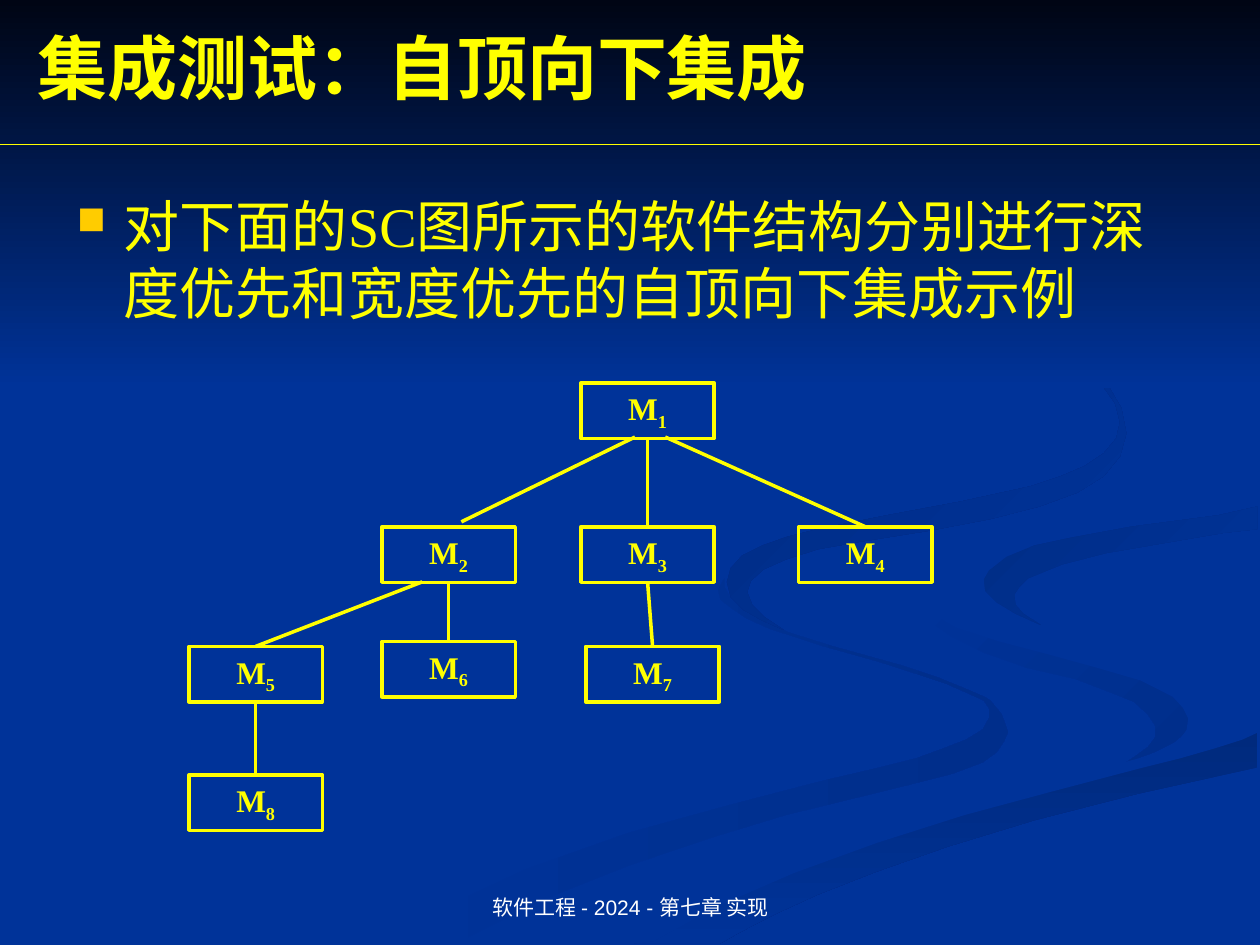
from lxml.etree import SubElement
from pptx import Presentation
from pptx.dml.color import RGBColor
from pptx.enum.shapes import MSO_CONNECTOR as CONN, MSO_SHAPE as SHAPE
from pptx.enum.text import MSO_ANCHOR as ANCHOR, PP_ALIGN as ALIGN
from pptx.oxml.ns import qn
from pptx.util import Cm, Pt

YELLOW = RGBColor(0xFF, 0xFF, 0x00)
WHITE = RGBColor(0xFF, 0xFF, 0xFF)
BLUE = RGBColor(0x00, 0x33, 0x99)
NIGHT = RGBColor(0x00, 0x05, 0x14)
SHADE_1 = RGBColor(0x00, 0x2E, 0x8B)
SHADE_2 = RGBColor(0x00, 0x2A, 0x7D)
SHADE_3 = RGBColor(0x00, 0x2D, 0x86)
SHADE_4 = RGBColor(0x00, 0x2B, 0x82)
BULLET_COLOR = "FFCC00"
SERIF, SANS = "Times New Roman", "Arial"
BOTTOM, TOP = 2, 0

LOWER_LEFT_SWIRL = [
    (781, 553), (767, 547), (745, 538), (715, 528), (661, 513), (626, 502),
    (602, 490), (587, 481), (579, 473), (575, 466), (575, 459), (570, 468),
    (572, 476), (581, 483), (593, 491), (611, 499), (654, 513), (697, 525),
    (728, 535), (752, 543), (770, 551), (781, 556), (785, 562), (785, 570),
    (780, 579), (767, 587), (749, 594), (727, 602), (699, 609), (652, 620),
    (579, 639), (499, 661), (417, 690), (338, 727), (300, 749), (361, 749),
    (431, 714), (499, 687), (564, 665), (623, 647), (676, 634), (721, 623),
    (756, 614), (780, 605), (791, 597), (797, 588), (800, 581), (795, 567),
    (786, 556)]
RIGHT_SWIRL = [
    (943, 570), (939, 562), (930, 553), (905, 540), (870, 530), (830, 519),
    (792, 509), (758, 498), (733, 483), (727, 474), (724, 464), (725, 474),
    (730, 483), (739, 494), (755, 505), (781, 518), (815, 530), (854, 539),
    (880, 549), (900, 557), (911, 567), (917, 576), (917, 585), (911, 593),
    (900, 601), (894, 605), (916, 597), (932, 589), (941, 581)]
BOTTOM_SWIRL = [
    (519, 747), (503, 749), (571, 749), (587, 740), (614, 726), (649, 710),
    (695, 692), (752, 672), (821, 651), (903, 630), (998, 609), (998, 581),
    (985, 587), (963, 594), (936, 602), (903, 610), (831, 629), (764, 647),
    (696, 669), (630, 693), (569, 719)]
LONG_SWIRL = [
    (725, 464), (728, 474), (734, 483), (759, 498), (793, 509), (831, 519),
    (871, 530), (905, 540), (931, 553), (939, 562), (943, 570), (942, 579),
    (936, 587), (926, 593), (911, 600), (892, 605), (869, 611), (813, 625),
    (743, 643), (663, 668), (573, 703), (477, 749), (503, 749), (519, 747),
    (570, 719), (630, 693), (696, 669), (765, 647), (832, 629), (904, 610),
    (936, 602), (964, 594), (986, 587), (999, 581), (999, 538), (974, 534),
    (941, 527), (904, 519), (848, 503), (817, 492), (794, 480), (784, 469),
    (781, 463), (786, 453), (800, 442), (822, 434), (850, 427), (899, 418),
    (968, 409), (999, 402), (999, 387), (962, 395), (920, 401), (851, 411),
    (808, 417), (770, 427), (742, 439), (730, 449)]
SHORT_SWIRL = [
    (781, 460), (782, 469), (791, 478), (806, 487), (826, 496), (812, 487),
    (806, 480), (805, 472), (809, 466), (816, 459), (843, 448), (878, 439),
    (936, 429), (971, 423), (998, 420), (998, 402), (967, 409), (898, 418),
    (849, 427), (821, 433), (799, 442), (785, 453)]
UPPER_SWIRL = [
    (683, 430), (739, 421), (786, 412), (825, 402), (855, 391), (876, 378),
    (889, 362), (894, 344), (890, 324), (880, 307), (864, 291), (843, 275),
    (810, 256), (780, 241), (762, 233), (805, 254), (846, 279), (870, 299),
    (885, 320), (889, 335), (886, 348), (876, 360), (861, 370), (842, 378),
    (818, 386), (763, 398), (704, 409), (649, 420), (625, 426), (605, 433),
    (589, 441), (580, 451), (577, 462), (580, 474), (590, 484), (604, 492),
    (622, 500), (607, 490), (597, 480), (593, 470), (596, 461), (606, 452),
    (624, 444), (649, 436)]
SWIRLS = [
    (LOWER_LEFT_SWIRL, BLUE, SHADE_1, 0),
    (RIGHT_SWIRL, BLUE, SHADE_1, 45),
    (BOTTOM_SWIRL, SHADE_2, BLUE, 90),
    (LONG_SWIRL, BLUE, BLUE, 0),
    (SHORT_SWIRL, SHADE_3, BLUE, 45),
    (UPPER_SWIRL, SHADE_4, BLUE, 45)]

MODULES = {
    1: (11.71, 7.72), 2: (7.7, 10.62), 3: (11.71, 10.62), 4: (16.1, 10.62),
    5: (3.81, 13.03), 6: (7.7, 12.93), 7: (11.81, 13.03), 8: (3.81, 15.62)}
STRAIGHT_CALLS = [(1, 3), (2, 6), (3, 7), (5, 8)]
SLANTED_CALLS = [((13.41, 8.81), 4), ((8.51, 11.73), 5)]


class Deck:
    def __init__(self, slide, color=YELLOW, width=2):
        self.slide, self.shapes = slide, slide.shapes
        self.color, self.width = color, width

    def gradient(self, sp, first, last, angle):
        sp.shadow.inherit = False
        sp.line.fill.background()
        if first == last:
            sp.fill.solid()
            sp.fill.fore_color.rgb = first
            return
        sp.fill.gradient()
        sp.fill.gradient_angle = 360 - angle
        for stop, color in zip(sp.fill.gradient_stops, (first, last)):
            stop.color.rgb = color

    def swirl(self, points, first, last, angle):
        builder = self.shapes.build_freeform(*points[0], scale=Cm(0.0254))
        builder.add_line_segments(points[1:])
        self.gradient(builder.convert_to_shape(), first, last, angle)

    def band(self, height, first, last):
        sp = self.shapes.add_shape(SHAPE.RECTANGLE, 0, 0, Cm(25.4), Cm(height))
        self.gradient(sp, first, last, 90)

    def font(self, p, size, name=SERIF, color=None, bold=False):
        for r in p.runs:
            r.font.size, r.font.name, r.font.bold = Pt(size), name, bold
            r.font.color.rgb = color or self.color

    def text(self, text, box, size, anchor=ANCHOR.TOP, align=ALIGN.LEFT, **font):
        tf = self.shapes.add_textbox(*map(Cm, box)).text_frame
        tf.word_wrap, tf.vertical_anchor = True, anchor
        tf.text = text
        p = tf.paragraphs[0]
        p.alignment = align
        self.font(p, size, **font)
        return p

    def bullet(self, text, box, size):
        p = self.text(text, box, size)
        p.space_before = Pt(8)
        pPr = p._p.get_or_add_pPr()
        pPr.set("marL", str(Cm(0.95)))
        pPr.set("indent", str(-Cm(0.95)))
        color = SubElement(pPr, qn("a:buClr"))
        SubElement(color, qn("a:srgbClr"), val=BULLET_COLOR)
        SubElement(pPr, qn("a:buSzPct"), val="70000")
        SubElement(pPr, qn("a:buChar"), char="■")

    def module(self, number, left, top):
        sp = self.shapes.add_shape(
            SHAPE.RECTANGLE, Cm(left), Cm(top), Cm(2.69), Cm(1.12))
        sp.shadow.inherit = False
        sp.fill.background()
        sp.line.color.rgb, sp.line.width = self.color, Pt(self.width)
        tf = sp.text_frame
        tf.vertical_anchor = ANCHOR.TOP
        p = tf.paragraphs[0]
        p.alignment, p.space_before = ALIGN.CENTER, Pt(11.2)
        for part in ("M", str(number)):
            p.add_run().text = part
        self.font(p, 18, bold=True)
        p.runs[1].font._element.set("baseline", "-25000")
        return sp

    def line(self, start=(0, 0), end=(0, 0), source=None, target=None, width=None):
        c = self.shapes.add_connector(CONN.STRAIGHT, *map(Cm, start + end))
        c.line.color.rgb, c.line.width = self.color, Pt(width or self.width)
        SubElement(c._element.spPr, qn("a:effectLst"))
        if source is not None:
            c.begin_connect(source, BOTTOM)
        if target is not None:
            c.end_connect(target, TOP)


def main():
    prs = Presentation()
    prs.slide_width, prs.slide_height = Cm(25.4), Cm(19.05)
    s = prs.slides.add_slide(prs.slide_layouts[6])
    s.background.fill.solid()
    s.background.fill.fore_color.rgb = BLUE
    deck = Deck(s)

    for swirl in SWIRLS:
        deck.swirl(*swirl)
    deck.band(7.82, NIGHT, BLUE)

    deck.text("软件工程 - 2024 - 第七章 实现", (8.69, 17.35, 8.05, 1.32), 12,
              ANCHOR.BOTTOM, ALIGN.CENTER, name=SANS, color=WHITE)
    deck.bullet("对下面的SC图所示的软件结构分别进行深度优先和宽度优先的自顶向下集成示例",
                (1.3, 3.73, 22.86, 3.28), 32)
    deck.text("集成测试：自顶向下集成", (0.51, 0.36, 24.89, 1.96), 40,
              ANCHOR.MIDDLE, bold=True)
    deck.line((0, 2.92), (25.4, 2.92), width=0.75)

    boxes = {n: deck.module(n, *place) for n, place in MODULES.items()}
    for caller, callee in STRAIGHT_CALLS:
        deck.line(source=boxes[caller], target=boxes[callee])
    for start, callee in SLANTED_CALLS:
        deck.line(start, target=boxes[callee])
    deck.line((12.8, 8.81), (9.3, 10.52))

    prs.save("out.pptx")


if __name__ == "__main__":
    main()
